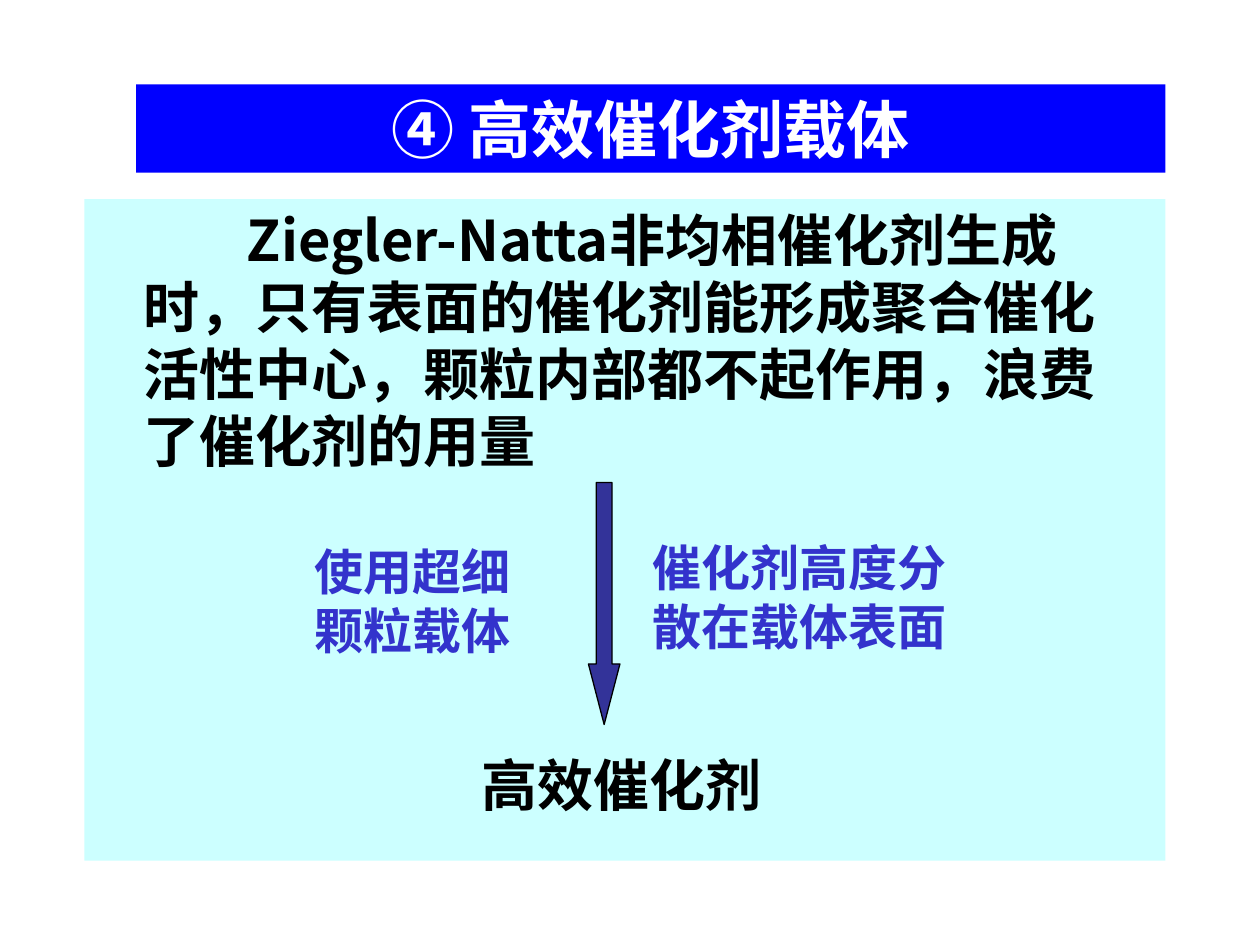
from dataclasses import dataclass

import pptx
import pptx.dml.color
import pptx.enum.shapes
import pptx.enum.text
import pptx.util

Inches = pptx.util.Inches
Shapes = pptx.enum.shapes.MSO_SHAPE
Align = pptx.enum.text.PP_ALIGN
Anchor = pptx.enum.text.MSO_ANCHOR


@dataclass(frozen=True)
class Theme:
    sans: str = "Noto Sans CJK SC"
    body_font: str = "Noto Sans CJK JP"
    serif: str = "Times New Roman"
    white: str = "FFFFFF"
    black: str = "000000"
    banner: str = "0000FF"
    panel: str = "CCFFFF"
    arrow: str = "333399"
    note: str = "3333CC"
    title_size: int = 36
    body_size: int = 32
    note_size: int = 28


@dataclass(frozen=True)
class TextBlock:
    lines: tuple[str, ...]
    left: float
    top: float
    width: float
    height: float
    font: str
    size: int
    color: str
    fill: str | None = None
    align: Align = Align.LEFT
    anchor: Anchor = Anchor.TOP
    margin_right: float = 0.1
    indent: float = 0
    first_line: float = 0


THEME = Theme()

BLOCKS = (
    # Title banner and body panel
    TextBlock(("④ 高效催化剂载体",), 1.08, 0.67, 8.17, 0.7,
              THEME.sans, THEME.title_size, THEME.white, fill=THEME.banner,
              align=Align.CENTER, anchor=Anchor.BOTTOM),
    TextBlock(("Ziegler-Natta非均相催化剂生成时，只有表面的催化剂能形成聚合催化"
               "活性中心，颗粒内部都不起作用，浪费了催化剂的用量",),
              0.67, 1.58, 8.58, 5.25,
              THEME.body_font, THEME.body_size, THEME.black, fill=THEME.panel,
              margin_right=0.2, indent=0.37, first_line=0.82),
    # Notes on either side of the arrow, and the outcome below it
    TextBlock(("使用超细", "颗粒载体"), 2.4, 4.25, 2.12, 1.04,
              THEME.serif, THEME.note_size, THEME.note),
    TextBlock(("催化剂高度分散在载体表面",), 5.08, 4.22, 2.67, 1.04,
              THEME.serif, THEME.note_size, THEME.note),
    TextBlock(("高效催化剂",), 3.72, 5.91, 2.7, 0.64,
              THEME.serif, THEME.body_size, THEME.black),
)


def rgb(color: str) -> pptx.dml.color.RGBColor:
    return pptx.dml.color.RGBColor.from_string(color)


def set_all(target, values: dict) -> None:
    for name, value in values.items():
        setattr(target, name, value)


def draw_block(page, block: TextBlock) -> None:
    place = [Inches(n) for n in (block.left, block.top, block.width, block.height)]
    if block.fill:
        box = page.shapes.add_shape(Shapes.RECTANGLE, *place)
        box.shadow.inherit = False
        box.fill.solid()
        box.fill.fore_color.rgb = rgb(block.fill)
        box.line.fill.background()
    else:
        box = page.shapes.add_textbox(*place)
    frame = box.text_frame
    set_all(frame, {
        "word_wrap": True,
        "vertical_anchor": block.anchor,
        "margin_left": Inches(0.1),
        "margin_right": Inches(block.margin_right),
        "margin_top": Inches(0.05),
        "margin_bottom": Inches(0.05),
    })
    for index, line in enumerate(block.lines):
        para = frame.add_paragraph() if index else frame.paragraphs[0]
        para.alignment = block.align
        # Closing punctuation stays inside the right margin
        properties = para._p.get_or_add_pPr()
        properties.set("hangingPunct", "0")
        if block.indent:
            properties.set("marL", str(Inches(block.indent)))
            properties.set("indent", str(Inches(block.first_line)))
        span = para.add_run()
        span.text = line
        set_all(span.font, {"name": block.font, "bold": True,
                            "size": pptx.util.Pt(block.size)})
        span.font.color.rgb = rgb(block.color)


def draw_arrow(page) -> None:
    arrow = page.shapes.add_shape(Shapes.DOWN_ARROW, Inches(4.67), Inches(3.83),
                                  Inches(0.25), Inches(1.92))
    arrow.shadow.inherit = False
    arrow.adjustments[0] = 0.5
    arrow.adjustments[1] = 1.92
    arrow.fill.solid()
    arrow.fill.fore_color.rgb = rgb(THEME.arrow)
    arrow.line.color.rgb = rgb(THEME.black)
    arrow.line.width = pptx.util.Pt(0.75)


def main() -> None:
    deck = pptx.Presentation()
    set_all(deck, {"slide_width": Inches(10), "slide_height": Inches(7.5)})
    page = deck.slides.add_slide(deck.slide_layouts[6])
    for block in BLOCKS:
        draw_block(page, block)
    draw_arrow(page)
    deck.save("out.pptx")


if __name__ == "__main__":
    main()
